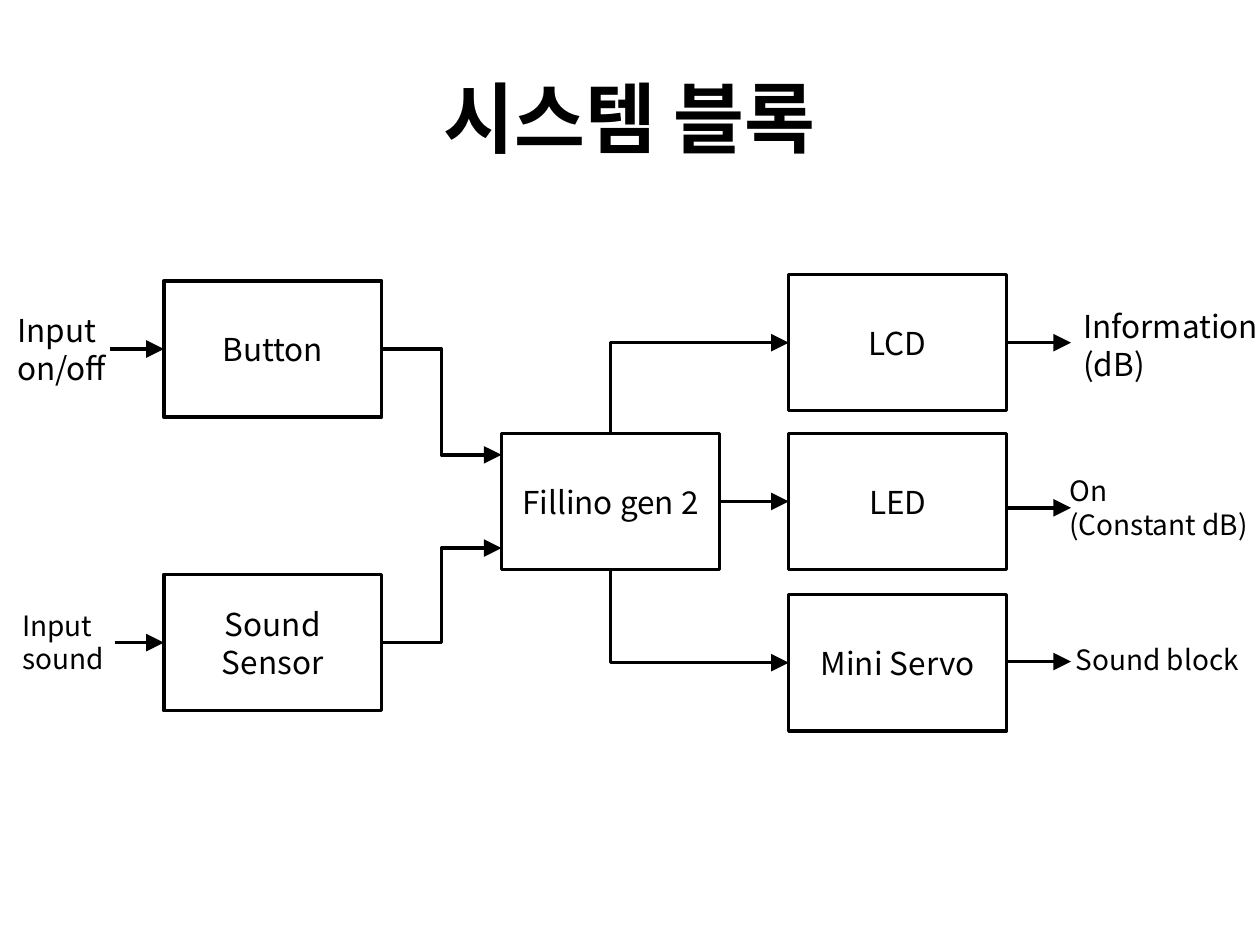
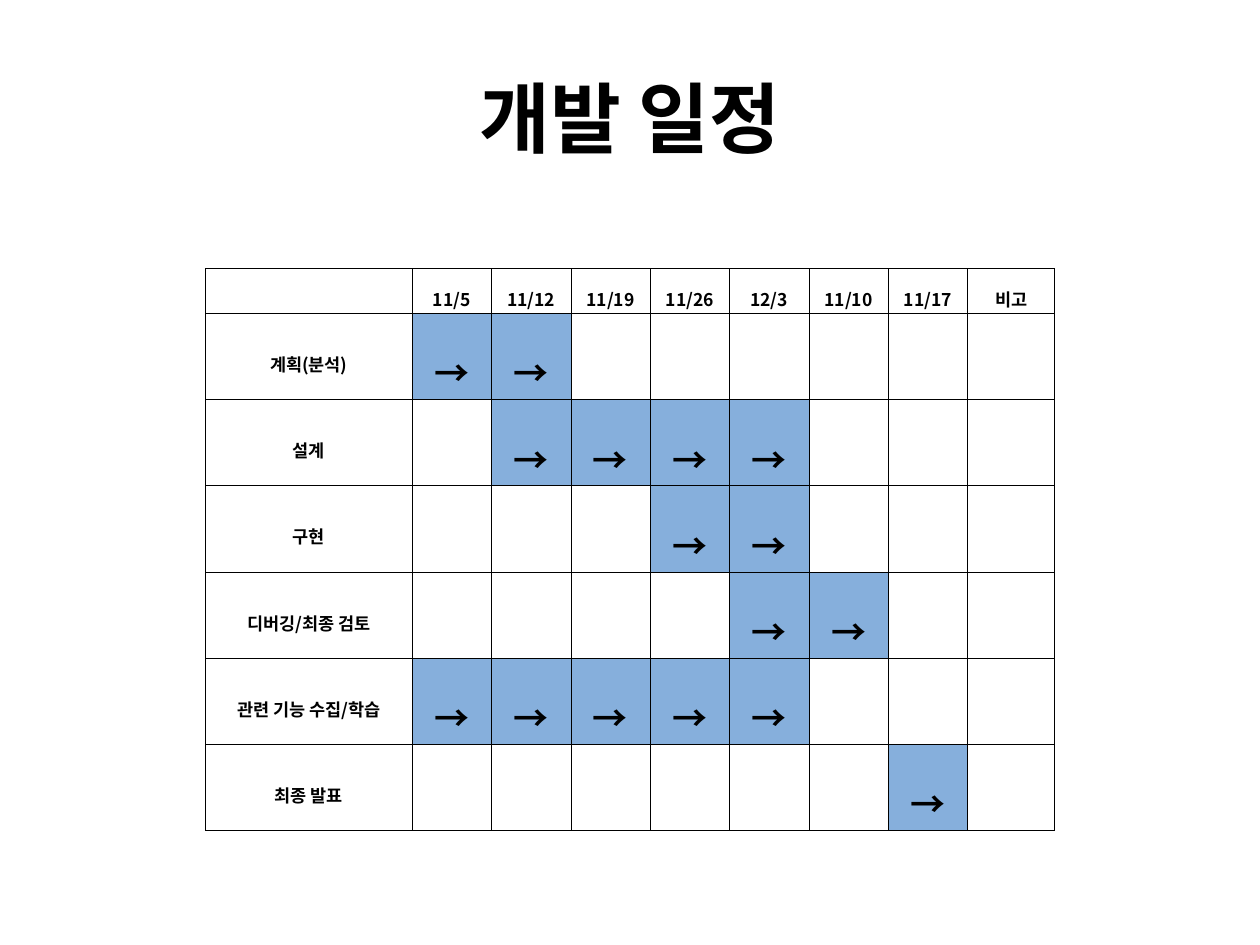
from dataclasses import dataclass

from lxml.etree import SubElement
from pptx import Presentation
from pptx.dml.color import RGBColor
from pptx.enum.shapes import MSO_CONNECTOR as Connector, MSO_SHAPE as Shape
from pptx.enum.text import MSO_ANCHOR as Anchor, PP_ALIGN as Align
from pptx.oxml.ns import qn
from pptx.util import Inches, Pt

COLORS = {"ink": "000000", "paper": "FFFFFF", "active": "86AFDC"}
FONT = "Noto Sans CJK KR"
COLUMNS, ROWS = 100, 75
CELL = Inches(0.1)
NODE_WIDTH, NODE_HEIGHT = 17.3, 10.8
PORT_INSET = 1.7
LINE_WIDTH = Pt(2)
HEADER_HEIGHT, TASK_HEIGHT = 3.57, 6.84


@dataclass
class Box:
    left: float
    top: float
    width: float
    height: float

    @property
    def right(self):
        return self.left + self.width

    @property
    def bottom(self):
        return self.top + self.height

    @property
    def center(self):
        return self.left + self.width / 2

    @property
    def middle(self):
        return self.top + self.height / 2

    def inner(self, left, top, width, height):
        return Box(self.left + left, self.top + top, width, height)

    def frame(self):
        return cells(self.left, self.top, self.width, self.height)


TITLE_BOX = Box(5, 3, 90, 12.5)
DIAGRAM_BOX = Box(0, 21.8, COLUMNS, 36.2)
SCHEDULE_BOX = Box(16.3, 21.3, 67.4, 44.6)


def cells(*lengths):
    return [round(length * CELL) for length in lengths]


def color(name):
    return RGBColor.from_string(COLORS[name])


def write(text_frame, text, size, align=Align.LEFT, bold=False, spacing=None):
    text_frame.text = text
    for paragraph in text_frame.paragraphs:
        paragraph.alignment = align
        paragraph.line_spacing = spacing
        font = paragraph.font
        font.name, font.size, font.bold = FONT, Pt(size), bold
        font.color.rgb = color("ink")
        properties = paragraph._p.pPr.find(qn("a:defRPr"))
        SubElement(properties, qn("a:ea"), typeface=FONT)
        if bold:
            properties.set("kern", "0")


def add_text(slide, box, text, size, align=Align.LEFT, bold=False, anchor=Anchor.TOP):
    text_frame = slide.shapes.add_textbox(*box.frame()).text_frame
    text_frame.word_wrap = True
    text_frame.vertical_anchor = anchor
    write(text_frame, text, size, align, bold)


def add_title(slide, box, text):
    add_text(slide, box, text, 44, Align.CENTER, True, Anchor.MIDDLE)


def add_node(slide, box, text):
    shape = slide.shapes.add_shape(Shape.RECTANGLE, *box.frame())
    shape.shadow.inherit = False
    shape.fill.background()
    shape.line.color.rgb = color("ink")
    shape.line.width = LINE_WIDTH
    shape.text_frame.vertical_anchor = Anchor.MIDDLE
    write(shape.text_frame, text, 18, Align.CENTER)


def add_arrow(slide, start, end, kind=Connector.STRAIGHT):
    connector = slide.shapes.add_connector(kind, *cells(*start, *end))
    line = connector.line
    line.color.rgb = color("ink")
    line.width = LINE_WIDTH
    SubElement(line._get_or_add_ln(), qn("a:tailEnd"), type="triangle", w="lg", len="lg")
    SubElement(connector._element.spPr, qn("a:effectLst"))
    return connector


def add_corner_arrow(slide, start, end):
    run, drop = end[0] - start[0], end[1] - start[1]
    center, middle = start[0] + run / 2, start[1] + drop / 2
    half_width, half_height = abs(drop) / 2, run / 2 if drop > 0 else -run / 2
    connector = add_arrow(
        slide,
        (center + half_width, middle - half_height),
        (center - half_width, middle + half_height),
        Connector.ELBOW,
    )
    properties = connector._element.spPr
    properties.find(qn("a:xfrm")).set("rot", str((270 if drop > 0 else 90) * 60000))
    properties.find(qn("a:prstGeom")).set("prst", "bentConnector2")


def add_diagram(slide, box):
    positions = {
        "Button": (13, 0.5),
        "Sound Sensor": (13, 23.8),
        "Fillino gen 2": (39.8, 12.6),
        "LCD": (62.6, 0),
        "LED": (62.6, 12.6),
        "Mini Servo": (62.6, 25.4),
    }
    nodes = {
        name: box.inner(*position, NODE_WIDTH, NODE_HEIGHT)
        for name, position in positions.items()
    }
    for name, node in nodes.items():
        add_node(slide, node, name)
    button, sensor, board, lcd, led, servo = nodes.values()

    for node, start, port in (
        (button, 8.7, board.top + PORT_INSET),
        (sensor, 9.1, board.bottom - PORT_INSET),
    ):
        add_arrow(slide, (box.left + start, node.middle), (node.left, node.middle))
        add_arrow(slide, (node.right, node.middle), (board.left, port), Connector.ELBOW)

    add_corner_arrow(slide, (board.center, board.top), (lcd.left, lcd.middle))
    add_corner_arrow(slide, (board.center, board.bottom), (servo.left, servo.middle))
    add_arrow(slide, (board.right, board.middle), (led.left, led.middle))
    for node, shift in ((lcd, 0), (led, 0.5), (servo, -0.1)):
        level = node.middle + shift
        add_arrow(slide, (node.right, level), (box.left + 85, level))

    labels = (
        ("Input\non/off", 18, (0.4, 2.4, 12.6, 7.1)),
        ("Input\nsound", 16, (0.8, 26, 9.1, 6.4)),
        ("Information\n(dB)", 18, (85, 2.1, 16.4, 7.1)),
        ("On\n(Constant dB)", 16, (83.9, 15.3, 16.4, 6.4)),
        ("Sound block", 16, (84.4, 28.7, 16.1, 3.7)),
    )
    for text, size, area in labels:
        add_text(slide, box.inner(*area), text, size)


def style_cell(cell, text="", size=10, active=False):
    cell.margin_left = cell.margin_right = Inches(0.07)
    cell.margin_top = cell.margin_bottom = Inches(0.02)
    cell.vertical_anchor = Anchor.MIDDLE
    write(cell.text_frame, text, size, Align.CENTER, True, 1.6)
    if not text:
        SubElement(cell.text_frame.paragraphs[0]._p, qn("a:endParaRPr"), sz=str(size * 100))
    properties = cell._tc.get_or_add_tcPr()
    for side in ("lnL", "lnR", "lnT", "lnB"):
        border = SubElement(properties, qn(f"a:{side}"), w=str(Pt(0.28)))
        fill = SubElement(border, qn("a:solidFill"))
        SubElement(fill, qn("a:srgbClr"), val=COLORS["ink"])
    if active:
        cell.fill.solid()
        cell.fill.fore_color.rgb = color("active")
    else:
        cell.fill.background()


def add_schedule(slide, box):
    header = ("", "11/5", "11/12", "11/19", "11/26", "12/3", "11/10", "11/17", "비고")
    tasks = (
        ("계획(분석)", 1, 2),
        ("설계", 2, 5),
        ("구현", 4, 5),
        ("디버깅/최종 검토", 5, 6),
        ("관련 기능 수집/학습", 1, 5),
        ("최종 발표", 7, 7),
    )
    frame = slide.shapes.add_table(len(tasks) + 1, len(header), *box.frame())
    table = frame.table
    table.first_row = table.horz_banding = False
    widths = (16.4, *[6.3] * 7, 6.9)
    for column, width in zip(table.columns, cells(*widths)):
        column.width = width
    heights = (HEADER_HEIGHT, *[TASK_HEIGHT] * len(tasks))
    for row, height in zip(table.rows, cells(*heights)):
        row.height = height

    for index, text in enumerate(header):
        style_cell(table.cell(0, index), text)
    for row, (task, first, last) in enumerate(tasks, 1):
        style_cell(table.cell(row, 0), task)
        for column in range(1, len(header)):
            if first <= column <= last:
                style_cell(table.cell(row, column), "→", 20, True)
            else:
                style_cell(table.cell(row, column))


def add_slide(presentation, title, add_content, box):
    slide = presentation.slides.add_slide(presentation.slide_layouts[6])
    slide.background.fill.solid()
    slide.background.fill.fore_color.rgb = color("paper")
    add_title(slide, TITLE_BOX, title)
    add_content(slide, box)


def main():
    presentation = Presentation()
    presentation.slide_width, presentation.slide_height = cells(COLUMNS, ROWS)
    add_slide(presentation, "시스템 블록", add_diagram, DIAGRAM_BOX)
    add_slide(presentation, "개발 일정", add_schedule, SCHEDULE_BOX)
    presentation.save("out.pptx")


if __name__ == "__main__":
    main()
